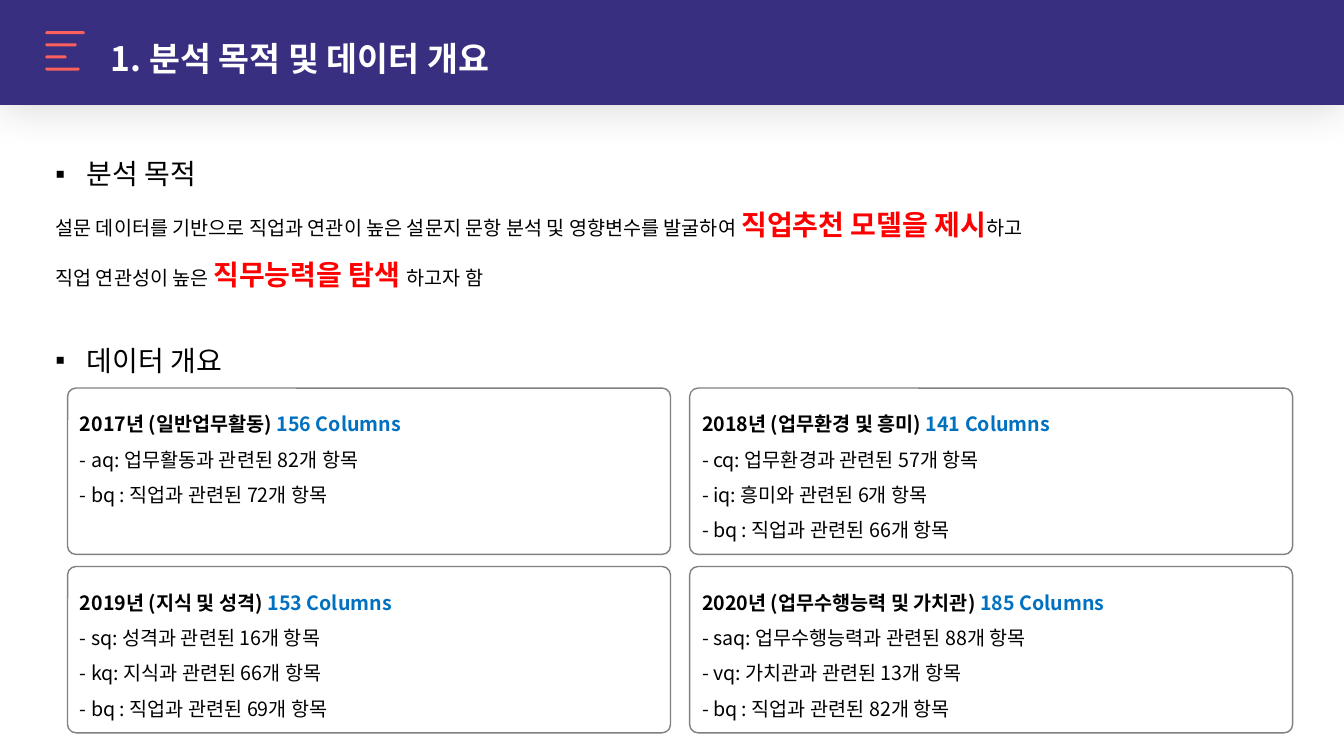
from dataclasses import dataclass

from lxml.etree import SubElement
from pptx import Presentation
from pptx.dml.color import RGBColor
from pptx.enum.shapes import MSO_SHAPE
from pptx.enum.text import MSO_ANCHOR, MSO_AUTO_SIZE, PP_ALIGN
from pptx.oxml.ns import qn
from pptx.util import Inches, Pt


@dataclass(frozen=True)
class Theme:
    font: str = "Noto Sans CJK KR"
    title_size: int = 24
    large_size: int = 20
    text_size: int = 14
    line_gap: int = 25
    white: RGBColor = RGBColor(0xFF, 0xFF, 0xFF)
    black: RGBColor = RGBColor(0, 0, 0)
    red: RGBColor = RGBColor(0xFF, 0, 0)
    blue: RGBColor = RGBColor(0, 0x70, 0xC0)
    gray: RGBColor = RGBColor(0x80, 0x80, 0x80)
    navy: RGBColor = RGBColor(0x38, 0x2F, 0x80)
    coral: RGBColor = RGBColor(0xFE, 0x61, 0x5C)


THEME = Theme()
BULLET_INDENT = Inches(0.31)

TITLE = "1. 분석 목적 및 데이터 개요"
PURPOSE_HEADING = "분석 목적"
DATA_HEADING = "데이터 개요"
# Each line: text before, highlighted text, text after
PURPOSE_LINES = [
    ("설문 데이터를 기반으로 직업과 연관이 높은 설문지 문항 분석 및 영향변수를 발굴하여 ",
     "직업추천 모델을 제시", "하고"),
    ("직업 연관성이 높은 ", "직무능력을 탐색 ", "하고자 함"),
]
# Each card: heading, column count, items
CARDS = [
    ("2017년 (일반업무활동) ", "156 Columns",
     ["- aq: 업무활동과 관련된 82개 항목", "- bq : 직업과 관련된 72개 항목"]),
    ("2018년 (업무환경 및 흥미) ", "141 Columns",
     ["- cq: 업무환경과 관련된 57개 항목", "- iq: 흥미와 관련된 6개 항목",
      "- bq : 직업과 관련된 66개 항목"]),
    ("2019년 (지식 및 성격) ", "153 Columns",
     ["- sq: 성격과 관련된 16개 항목", "- kq: 지식과 관련된 66개 항목",
      "- bq : 직업과 관련된 69개 항목"]),
    ("2020년 (업무수행능력 및 가치관) ", "185 Columns",
     ["- saq: 업무수행능력과 관련된 88개 항목", "- vq: 가치관과 관련된 13개 항목",
      "- bq : 직업과 관련된 82개 항목"]),
]


def place(shape, left, top, width, height):
    shape.left, shape.top = Inches(left), Inches(top)
    shape.width, shape.height = Inches(width), Inches(height)


def set_frame(frame, anchor, left=0.1, top=0.0, bottom=0.05):
    frame.word_wrap = True
    frame.auto_size = MSO_AUTO_SIZE.NONE
    frame.vertical_anchor = anchor
    frame.margin_left, frame.margin_right = Inches(left), Inches(0.1)
    frame.margin_top, frame.margin_bottom = Inches(top), Inches(bottom)


def next_paragraph(frame):
    return frame.add_paragraph() if frame.paragraphs[0].runs else frame.paragraphs[0]


def format_paragraph(paragraph, size, color, bold=False, bullet=None):
    paragraph.alignment = PP_ALIGN.LEFT
    paragraph.line_spacing = 1.5
    paragraph.space_before = Pt(0)
    properties = paragraph._p.get_or_add_pPr()
    properties.set("marL", str(BULLET_INDENT if bullet else 0))
    properties.set("indent", str(-BULLET_INDENT if bullet else 0))
    if bullet:
        SubElement(properties, qn("a:buFont"), typeface="Arial")
        SubElement(properties, qn("a:buChar"), char=bullet)
    else:
        SubElement(properties, qn("a:buNone"))
    font = paragraph.font
    font.name, font.size, font.bold = THEME.font, Pt(size), bold
    font.color.rgb = color
    SubElement(properties.find(qn("a:defRPr")), qn("a:ea"), typeface=THEME.font)


def add_span(paragraph, text):
    span = paragraph.add_run()
    span.text = text
    return span


def add_header(page, left, top, width, height):
    # Title band
    title = page.shapes.title
    place(title, left, top, width, height)
    title.fill.solid()
    title.fill.fore_color.rgb = THEME.navy
    effects = SubElement(title._element.spPr, qn("a:effectLst"))
    shadow = SubElement(effects, qn("a:outerShdw"), blurRad=str(Pt(30)), dist=str(Pt(3)),
                        dir="5400000", algn="t", rotWithShape="0")
    shade = SubElement(shadow, qn("a:srgbClr"), val=str(THEME.black))
    SubElement(shade, qn("a:alpha"), val="15000")
    set_frame(title.text_frame, MSO_ANCHOR.MIDDLE, left=1.1, bottom=0.08)
    paragraph = title.text_frame.paragraphs[0]
    format_paragraph(paragraph, THEME.title_size, THEME.white, bold=True)
    add_span(paragraph, TITLE)

    # Menu icon
    for row, bar_width in enumerate([0.39, 0.31, 0.21, 0.34]):
        bar = page.shapes.add_shape(MSO_SHAPE.ROUNDED_RECTANGLE, 0, 0, 0, 0)
        place(bar, left + 0.45, top + 0.31 + row * 0.12, bar_width, 0.03)
        bar.adjustments[0] = 0.5
        bar.shadow.inherit = False
        bar.fill.solid()
        bar.fill.fore_color.rgb = THEME.coral
        bar.line.fill.background()


def add_heading(frame, text):
    paragraph = next_paragraph(frame)
    format_paragraph(paragraph, THEME.large_size, THEME.black, bullet="▪")
    add_span(paragraph, text)
    return paragraph


def add_overview(page, left, top, width, height):
    body = page.placeholders[1]
    place(body, left, top, width, height)
    frame = body.text_frame
    set_frame(frame, MSO_ANCHOR.TOP, top=0.05)
    add_heading(frame, PURPOSE_HEADING)
    for before, highlight, after in PURPOSE_LINES:
        paragraph = next_paragraph(frame)
        format_paragraph(paragraph, THEME.text_size, THEME.black)
        add_span(paragraph, before)
        accent = add_span(paragraph, highlight).font
        accent.size, accent.bold = Pt(THEME.large_size), True
        accent.color.rgb = THEME.red
        add_span(paragraph, after)
    add_heading(frame, DATA_HEADING).space_before = Pt(THEME.line_gap)


def add_card(page, left, top, width, height, heading, columns, items):
    card = page.shapes.add_shape(MSO_SHAPE.ROUNDED_RECTANGLE, 0, 0, 0, 0)
    place(card, left, top, width, height)
    card.adjustments[0] = 0.05
    card.shadow.inherit = False
    card.fill.solid()
    card.fill.fore_color.rgb = THEME.white
    card.line.color.rgb = THEME.gray
    card.line.width = Pt(1)
    frame = card.text_frame
    set_frame(frame, MSO_ANCHOR.TOP, top=0.1)
    paragraph = next_paragraph(frame)
    format_paragraph(paragraph, THEME.text_size, THEME.black, bold=True)
    add_span(paragraph, heading)
    add_span(paragraph, columns).font.color.rgb = THEME.blue
    for item in items:
        paragraph = next_paragraph(frame)
        format_paragraph(paragraph, THEME.text_size, THEME.black)
        add_span(paragraph, item)


def add_card_grid(page, left, top, width, height):
    card_width, card_height = 5.98, 1.65
    for index, card in enumerate(CARDS):
        row, column = divmod(index, 2)
        add_card(page, left + column * (width - card_width),
                 top + row * (height - card_height), card_width, card_height, *card)


def main():
    deck = Presentation()
    deck.slide_width, deck.slide_height = Inches(13.33), Inches(7.5)
    page = deck.slides.add_slide(deck.slide_layouts[1])
    add_header(page, 0, 0, 13.33, 1.04)
    add_overview(page, 0.45, 1.34, 12.39, 3.42)
    add_card_grid(page, 0.67, 3.85, 12.15, 3.42)
    deck.save("out.pptx")


if __name__ == "__main__":
    main()
